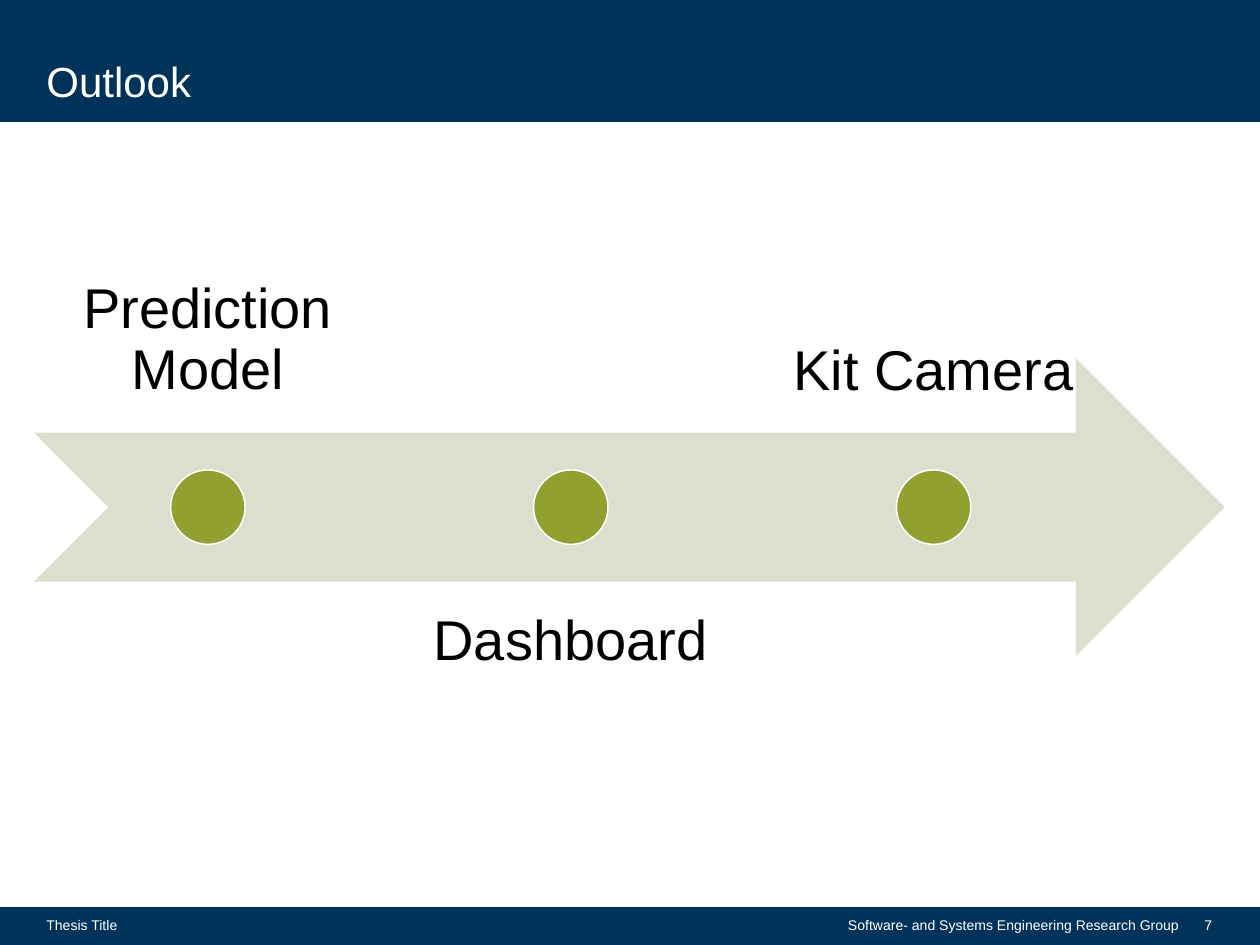
from pptx import Presentation
from pptx.dml.color import RGBColor
from pptx.enum.shapes import MSO_SHAPE
from pptx.enum.text import MSO_ANCHOR, PP_ALIGN
from pptx.util import Inches, Pt

COLORS = {"navy": "003359", "pale": "DCDFCD", "green": "91A02F",
          "white": "FFFFFF", "black": "000000"}


def color(name):
    """Return the named colour."""
    return RGBColor.from_string(COLORS[name])


def add_form(slide, kind, box, fill, line=None, width=1):
    """Add a filled preset shape, outlined if a line colour is given."""
    form = slide.shapes.add_shape(kind, *map(Inches, box))
    form.shadow.inherit = False
    form.fill.solid()
    form.fill.fore_color.rgb = color(fill)
    if line:
        form.line.color.rgb = color(line)
        form.line.width = Pt(width)
    else:
        form.line.fill.background()
    return form


def add_text(slide, box, text, size, tone="white", align=PP_ALIGN.LEFT,
             anchor=MSO_ANCHOR.MIDDLE, pad=(0.1, 0.05)):
    """Add a one-paragraph text box and return the paragraph."""
    frame = slide.shapes.add_textbox(*map(Inches, box)).text_frame
    frame.word_wrap = True
    frame.vertical_anchor = anchor
    frame.margin_left = frame.margin_right = Inches(pad[0])
    frame.margin_top = frame.margin_bottom = Inches(pad[1])
    para = frame.paragraphs[0]
    para.alignment = align
    run = para.add_run()
    run.text = text
    run.font.name = "Arial"
    run.font.size = Pt(size)
    run.font.color.rgb = color(tone)
    return para


def add_header(slide, box, title):
    """Draw the title band."""
    left, top, width, height = box
    add_form(slide, MSO_SHAPE.RECTANGLE, box, "navy", "navy", 1.35)
    add_text(slide, (left + 0.27, top + 0.04, 8.24, 0.79), title, 24,
             anchor=MSO_ANCHOR.BOTTOM, pad=(0.1, 0))


def add_footer(slide, box, title, group, number):
    """Draw the footer band with its three texts."""
    left, top, width, height = box
    add_form(slide, MSO_SHAPE.RECTANGLE, box, "navy", "navy", 1.35)
    add_text(slide, (left + 0.27, top - 0.03, 4.73, 0.32), title, 8)
    for start, span, text in ((6.46, 3, group), (9.45, 0.27, number)):
        add_text(slide, (left + start, top - 0.03, span, 0.32), text, 8,
                 align=PP_ALIGN.RIGHT)


def add_roadmap(slide, box, steps):
    """Draw the arrow with a dot per step, labels alternating above and below."""
    left, top, width, height = box
    band = height * 0.4
    dot = band / 4
    span, pitch = 2.74, 2.88
    mid = top + height / 2
    add_form(slide, MSO_SHAPE.NOTCHED_RIGHT_ARROW,
             (left, mid - band / 2, width, band), "pale")
    for index, label in enumerate(steps):
        x = left + 0.01 + index * pitch
        above = index % 2 == 0
        y = top if above else top + height - band
        para = add_text(slide, (x, y, span, band), label, 32, "black",
                        PP_ALIGN.CENTER,
                        MSO_ANCHOR.BOTTOM if above else MSO_ANCHOR.TOP,
                        (0.25, 0.25))
        para.line_spacing = 0.9
        add_form(slide, MSO_SHAPE.OVAL,
                 (x + (span - dot) / 2, mid - dot / 2, dot, dot),
                 "green", "white", 0.85)


def main():
    """Build and save the slide."""
    deck = Presentation()
    deck.slide_width, deck.slide_height = Inches(10), Inches(7.5)
    slide = deck.slides.add_slide(deck.slide_layouts[6])
    add_header(slide, (0, 0.01, 10, 0.95), "Outlook")
    add_roadmap(slide, (0.27, 1.07, 9.45, 5.91),
                ("Prediction Model", "Dashboard", "Kit Camera"))
    add_footer(slide, (0, 7.21, 10, 0.29), "Thesis Title",
               "Software- and Systems Engineering Research Group", "7")
    deck.save("out.pptx")


main()
